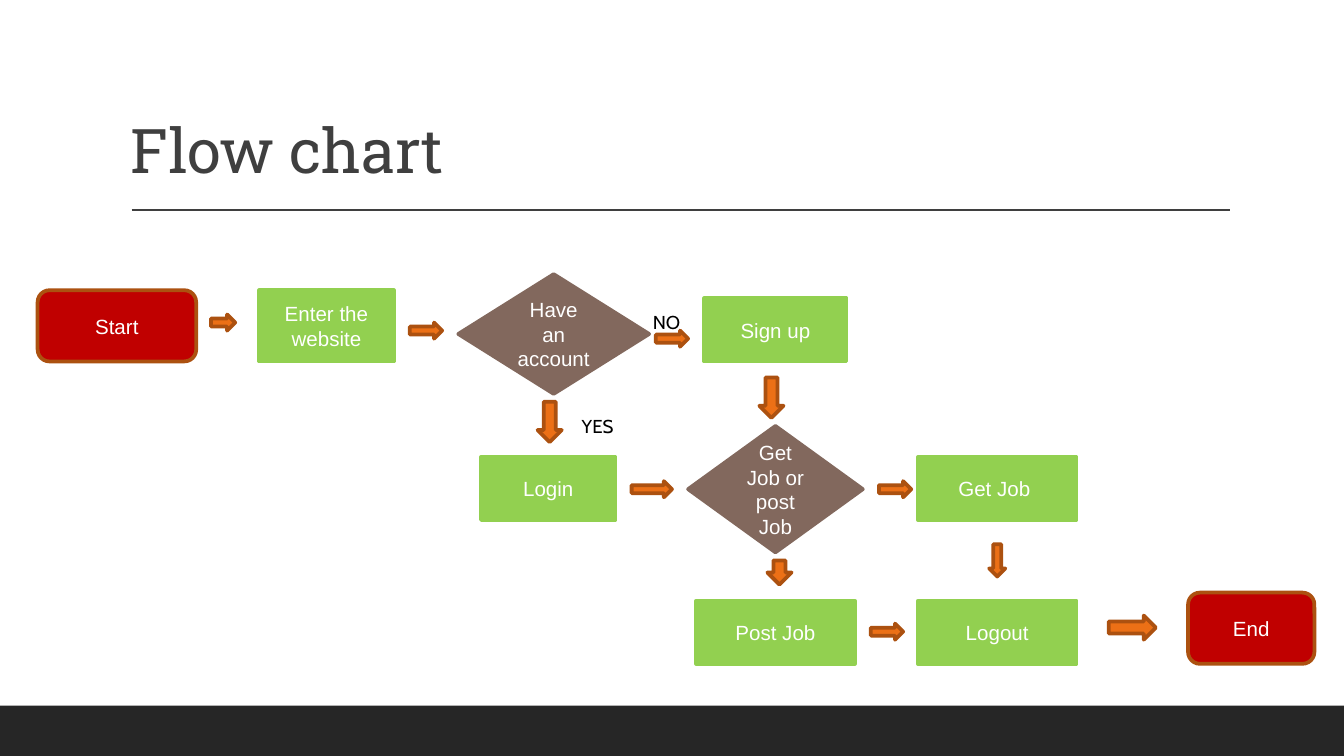
from pptx import Presentation
from pptx.dml.color import RGBColor
from pptx.enum.shapes import MSO_CONNECTOR, MSO_SHAPE
from pptx.enum.text import MSO_ANCHOR, PP_ALIGN
from pptx.oxml.ns import qn
from pptx.util import Inches, Pt
from lxml import etree

COLORS = {
    "bar": "262626",
    "title": "3F3F3F",
    "terminal": "C00000",
    "step": "92D050",
    "decision": "82685D",
    "arrow": "EC7016",
    "outline": "AC5110",
    "white": "FFFFFF",
    "black": "000000",
}

NODE_STYLES = {
    "terminal": (MSO_SHAPE.ROUNDED_RECTANGLE, "outline"),
    "step": (MSO_SHAPE.RECTANGLE, "step"),
    "decision": (MSO_SHAPE.DIAMOND, "decision"),
}

NODES = [
    ("Start", "terminal", 0, 0.12, 1.18, 0.53),
    ("Enter the website", "step", 1.65, 0.12, 1, 0.53),
    ("Have an account", "decision", 3.13, 0, 1.42, 0.89),
    ("Sign up", "step", 4.96, 0.18, 1.06, 0.47),
    ("Login", "step", 3.3, 1.36, 1, 0.47),
    ("Get Job or post Job", "decision", 4.84, 1.13, 1.3, 0.94),
    ("Get Job ", "step", 6.55, 1.36, 1.18, 0.47),
    ("Post Job", "step", 4.9, 2.43, 1.18, 0.47),
    ("Logout", "step", 6.55, 2.43, 1.18, 0.47),
    ("End", "terminal", 8.56, 2.37, 0.94, 0.53),
]

RIGHT_ARROWS = [
    (1.29, 0.3, 0.18, 0.12),
    (2.77, 0.36, 0.24, 0.12),
    (4.6, 0.42, 0.24, 0.12),
    (4.42, 1.54, 0.3, 0.12),
    (6.26, 1.54, 0.24, 0.12),
    (6.2, 2.6, 0.24, 0.12),
    (7.97, 2.54, 0.35, 0.18),
]

DOWN_ARROWS = [
    (3.72, 0.95, 0.18, 0.3),
    (5.37, 0.77, 0.18, 0.3),
    (5.43, 2.13, 0.18, 0.18),
    (7.08, 2.01, 0.12, 0.24),
]

LABELS = [
    ("NO", 4.48, 0.19, 0.44, 0.37),
    ("YES", 3.95, 0.96, 0.59, 0.37),
]


def rgb(name):
    return RGBColor.from_string(COLORS[name])


def set_text(sp, text, font, size, color, margins, anchor, align=PP_ALIGN.LEFT):
    tf = sp.text_frame
    tf.word_wrap = True
    tf.vertical_anchor = anchor
    tf.margin_left = tf.margin_right = Inches(margins[0])
    tf.margin_top = tf.margin_bottom = Inches(margins[1])
    tf.text = text
    p = tf.paragraphs[0]
    p.alignment = align
    r = p.runs[0]
    r.font.name = font
    r.font.size = Pt(size)
    r.font.color.rgb = rgb(color)
    return p


def add_box(s, kind, x, y, w, h, fill, line=None):
    sp = s.shapes.add_shape(kind, Inches(x), Inches(y), Inches(w), Inches(h))
    sp.shadow.inherit = False
    sp.fill.solid()
    sp.fill.fore_color.rgb = rgb(fill)
    if line:
        sp.line.color.rgb = rgb(line)
        sp.line.width = Pt(2)
    else:
        sp.line.fill.background()
    return sp


def add_text(s, text, x, y, w, h, *style):
    sp = s.shapes.add_textbox(Inches(x), Inches(y), Inches(w), Inches(h))
    return set_text(sp, text, *style)


def add_header(s, x, y, w, h):
    p = add_text(s, "Flow chart", x, y, w, h - 0.13,
                 "Roboto Slab", 33, "title", (0.07, 0.04), MSO_ANCHOR.BOTTOM)
    p.line_spacing = 0.9
    rule = s.shapes.add_connector(MSO_CONNECTOR.STRAIGHT, Inches(x + 0.08),
                                  Inches(y + h), Inches(x + w), Inches(y + h))
    rule.line.color.rgb = rgb("title")
    rule.line.width = Pt(1)
    etree.SubElement(rule._element.spPr, qn("a:effectLst"))


def add_flow_chart(s, x, y):
    for text, role, dx, dy, w, h in NODES:
        kind, line = NODE_STYLES[role]
        sp = add_box(s, kind, x + dx, y + dy, w, h, role, line)
        set_text(sp, text, "Arial", 11, "white", (0.07, 0.04),
                 MSO_ANCHOR.MIDDLE, PP_ALIGN.CENTER)
    for kind, arrows in ((MSO_SHAPE.RIGHT_ARROW, RIGHT_ARROWS),
                         (MSO_SHAPE.DOWN_ARROW, DOWN_ARROWS)):
        for dx, dy, w, h in arrows:
            add_box(s, kind, x + dx, y + dy, w, h, "arrow", "outline")
    for text, dx, dy, w, h in LABELS:
        add_text(s, text, x + dx, y + dy, w, h,
                 "Cabin", 10, "black", (0.1, 0.1), MSO_ANCHOR.TOP)


def main():
    width, height = 10, 10 * 9 / 16
    bar_top = 5.25
    prs = Presentation()
    prs.slide_width = Inches(width)
    prs.slide_height = Inches(height)
    s = prs.slides.add_slide(prs.slide_layouts[6])
    add_box(s, MSO_SHAPE.RECTANGLE, 0, bar_top, width, height - bar_top, "bar")
    add_header(s, 0.9, 0.24, 8.25, 1.32)
    add_flow_chart(s, 0.28, 2.04)
    prs.save("out.pptx")


if __name__ == "__main__":
    main()
